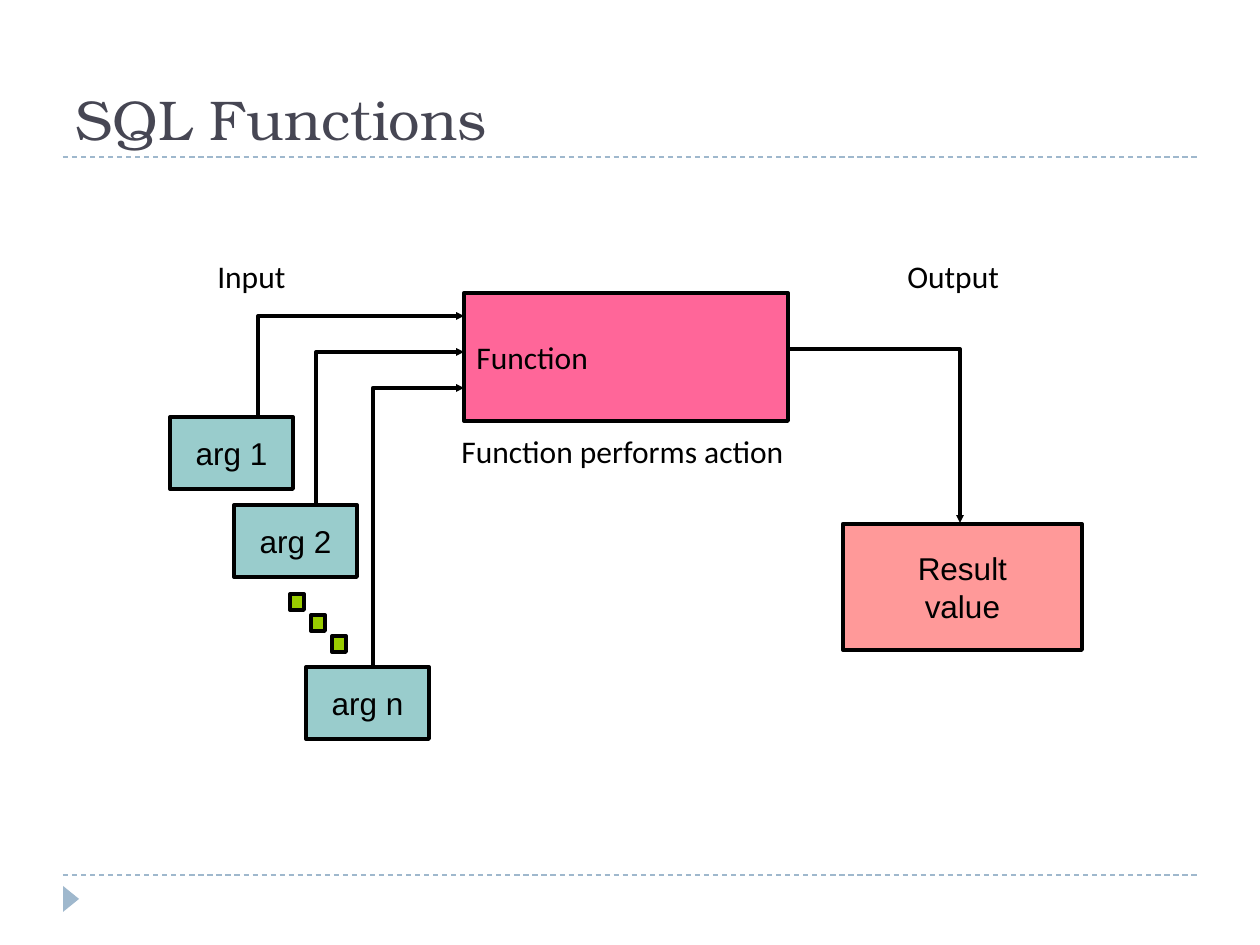
from dataclasses import dataclass

from lxml import etree
from pptx import Presentation
from pptx.dml.color import RGBColor
from pptx.enum.dml import MSO_LINE
from pptx.enum.shapes import MSO_CONNECTOR, MSO_SHAPE
from pptx.enum.text import MSO_ANCHOR, PP_ALIGN
from pptx.oxml.ns import qn
from pptx.util import Pt

PX = 7257  # EMU per px, 126 px to the inch
RECTANGLE, TRIANGLE = MSO_SHAPE.RECTANGLE, MSO_SHAPE.ISOSCELES_TRIANGLE
LEFT, CENTER = PP_ALIGN.LEFT, PP_ALIGN.CENTER
TOP, MIDDLE, BOTTOM = MSO_ANCHOR.TOP, MSO_ANCHOR.MIDDLE, MSO_ANCHOR.BOTTOM


@dataclass(frozen=True)
class Theme:
    ink: str = "000000"
    title: str = "464653"
    accent: str = "9FB8CD"
    function: str = "FF6699"
    argument: str = "99CCCC"
    dot: str = "99CC00"
    result: str = "FF9999"
    title_font: str = "TeX Gyre Bonum"
    label_font: str = "Calibri"
    box_font: str = "Arial"
    title_size: float = 32
    body_size: float = 18
    outline: float = 2.25
    rule: float = 0.75


THEME = Theme()

# Places are left, top, width, height in px
TITLE = ("SQL Functions", (63, 32, 1134, 126))
RULE_TOPS = [157, 875]
RULE_ENDS = (63, 1197)
MARKER = (58, 891, 26, 16)
FUNCTION = ("Function", (464, 293, 324, 128))
RESULT = ("Result\nvalue", (843, 524, 239, 126))
CAPTIONS = [
    ("Input", (205, 251, 102, 50)),
    ("Function performs action", (449, 426, 359, 88)),
    ("Output", (895, 251, 128, 50)),
]
ARGUMENT_SIZE = (123, 72)
ARGUMENTS = [("arg 1", (170, 417)), ("arg 2", (234, 505)), ("arg n", (306, 667))]
INPUT_ARROWS = [(258, 316), (316, 352), (373, 388)]  # corner of each bend
OUTPUT_ARROW = [(790, 349), (960, 349), (960, 523)]
DOT, DOT_STEP, DOT_COUNT = (290, 594, 14, 16), 21, 3


def emu(values):
    return [value * PX for value in values]


def color(code):
    return RGBColor.from_string(code)


def write(shape, text, font, size=THEME.body_size, ink=THEME.ink,
          align=LEFT, anchor=MIDDLE):
    frame = shape.text_frame
    frame.text = text
    frame.word_wrap = True
    frame.vertical_anchor = anchor
    for paragraph in frame.paragraphs:
        paragraph.alignment = align
        for run in paragraph.runs:
            run.font.name = font
            run.font.size = Pt(size)
            run.font.color.rgb = color(ink)


def add_label(slide, text, place, font, **style):
    write(slide.shapes.add_textbox(*emu(place)), text, font, **style)


def set_outline(shape):
    shape.line.color.rgb = color(THEME.ink)
    shape.line.width = Pt(THEME.outline)


def add_box(slide, place, fill):
    shape = slide.shapes.add_shape(RECTANGLE, *emu(place))
    shape.shadow.inherit = False
    shape.fill.solid()
    shape.fill.fore_color.rgb = color(fill)
    set_outline(shape)
    return shape


def add_arrow(slide, points):
    """Draw an open bent line with an arrowhead at its last point."""
    builder = slide.shapes.build_freeform(*points[0], scale=PX)
    builder.add_line_segments(points[1:], close=False)
    shape = builder.convert_to_shape()
    shape.shadow.inherit = False
    shape.fill.background()
    set_outline(shape)
    etree.SubElement(shape.line._get_or_add_ln(), qn("a:tailEnd"),
                     type="triangle", w="sm", len="sm")


def add_frame(slide):
    """Add the dashed rules, the corner marker and the title."""
    for top in RULE_TOPS:
        rule = slide.shapes.add_connector(
            MSO_CONNECTOR.STRAIGHT, *emu((RULE_ENDS[0], top, RULE_ENDS[1], top)))
        rule.line.color.rgb = color(THEME.accent)
        rule.line.width = Pt(THEME.rule)
        rule.line.dash_style = MSO_LINE.DASH
        etree.SubElement(rule._element.spPr, qn("a:effectLst"))
    marker = slide.shapes.add_shape(TRIANGLE, *emu(MARKER))
    marker.rotation = 90
    marker.shadow.inherit = False
    marker.fill.solid()
    marker.fill.fore_color.rgb = color(THEME.accent)
    marker.line.fill.background()
    add_label(slide, *TITLE, THEME.title_font, size=THEME.title_size,
              ink=THEME.title, anchor=BOTTOM)


def add_diagram(slide):
    text, place = FUNCTION
    write(add_box(slide, place, THEME.function), text, THEME.label_font)
    function_left = place[0]

    # Each line starts behind its argument box, which is drawn over it
    for (x, y), (_, (_, box_top)) in zip(INPUT_ARROWS, ARGUMENTS):
        add_arrow(slide, [(x, box_top + 10), (x, y), (function_left, y)])
    for text, corner in ARGUMENTS:
        box = add_box(slide, corner + ARGUMENT_SIZE, THEME.argument)
        write(box, text, THEME.box_font, align=CENTER)

    left, top, width, height = DOT
    for index in range(DOT_COUNT):
        shift = index * DOT_STEP
        add_box(slide, (left + shift, top + shift, width, height), THEME.dot)

    add_arrow(slide, OUTPUT_ARROW)
    text, place = RESULT
    write(add_box(slide, place, THEME.result), text, THEME.box_font, align=CENTER)
    for text, place in CAPTIONS:
        add_label(slide, text, place, THEME.label_font, anchor=TOP)


def main():
    presentation = Presentation()
    presentation.slide_width, presentation.slide_height = emu((1260, 945))
    slide = presentation.slides.add_slide(presentation.slide_layouts[6])
    add_frame(slide)
    add_diagram(slide)
    presentation.save("out.pptx")


if __name__ == "__main__":
    main()
